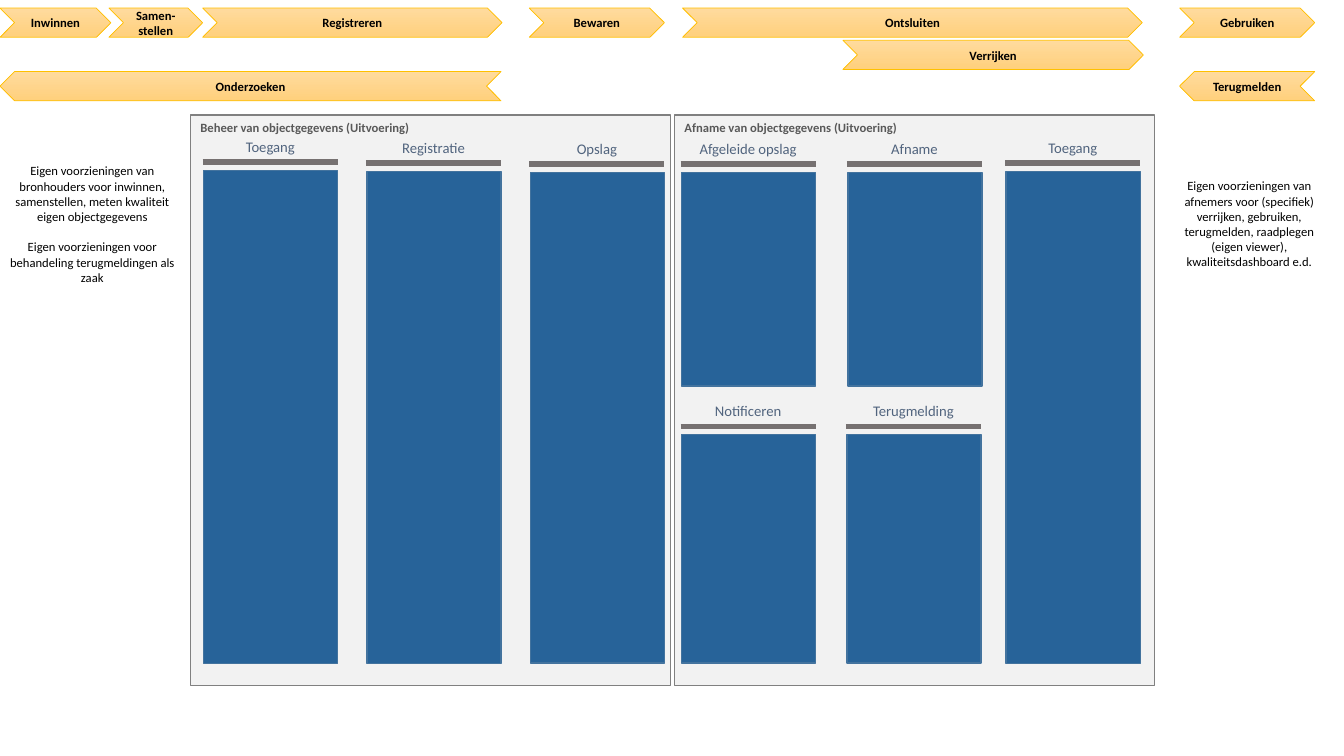
from pptx import Presentation
from pptx.dml.color import RGBColor
from pptx.enum import shapes as s, text as t
from pptx.oxml import ns, xmlchemy
from pptx.util import Inches, Pt

BLACK = RGBColor(0x00, 0x00, 0x00)
PANEL_FILL = RGBColor(0xF2, 0xF2, 0xF2)
PANEL_LINE = RGBColor(0x80, 0x80, 0x80)
PANEL_TEXT = RGBColor(0x59, 0x59, 0x59)
ARROW_TOP = RGBColor(0xFF, 0xDB, 0x9E)
ARROW_BOTTOM = RGBColor(0xFF, 0xD0, 0x7C)
ARROW_LINE = RGBColor(0xFF, 0xC0, 0x00)
BAR = RGBColor(0x76, 0x71, 0x71)
HEADING = RGBColor(0x51, 0x64, 0x7E)
BLOCK_FILL = RGBColor(0x27, 0x63, 0x99)
BLOCK_LINE = RGBColor(0x43, 0x73, 0x9E)


def write(shape, *paragraphs, size=9, color=BLACK, bold=False, gap=0,
          align=t.PP_ALIGN.CENTER, anchor=t.MSO_ANCHOR.TOP, wrap=True):
    """Fill a shape with paragraphs; gap is the space between them in points."""
    frame = shape.text_frame
    frame.word_wrap = wrap
    frame.vertical_anchor = anchor
    for index, wording in enumerate(paragraphs):
        paragraph = frame.add_paragraph() if index else frame.paragraphs[0]
        paragraph.alignment = align
        paragraph.space_before = Pt(gap if index else 0)
        run = paragraph.add_run()
        run.text = wording
        run.font.name = "Calibri"
        run.font.size = Pt(size)
        run.font.bold = bold
        run.font.color.rgb = color


def add_outlined(kind, left, top, width, height, line, line_width=1):
    shape = slide.shapes.add_shape(
        kind, Inches(left), Inches(top), Inches(width), Inches(height))
    shape.shadow.inherit = False
    shape.line.color.rgb = line
    shape.line.width = Pt(line_width)
    return shape


prs = Presentation()
prs.slide_width, prs.slide_height = Inches(13.33), Inches(7.5)
slide = prs.slides.add_slide(prs.slide_layouts[6])

# Two domains
for left, domain in [(6.69, "Afname van objectgegevens (Uitvoering)"),
                     (1.89, "Beheer van objectgegevens (Uitvoering)")]:
    panel = add_outlined(s.MSO_SHAPE.RECTANGLE, left, 1.14, 4.76, 5.66, PANEL_LINE)
    panel.fill.solid()
    panel.fill.fore_color.rgb = PANEL_FILL
    write(panel, domain, color=PANEL_TEXT, bold=True, align=t.PP_ALIGN.LEFT)

# Process steps: left, top, width, points left
steps = [
    ("Inwinnen", 0, 0.08, 1.1, False),
    ("Registreren", 2.01, 0.08, 2.97, False),
    ("Bewaren", 5.25, 0.08, 1.34, False),
    ("Samen-stellen", 1.08, 0.08, 0.93, False),
    ("Ontsluiten", 6.77, 0.08, 4.56, False),
    ("Gebruiken", 11.7, 0.08, 1.34, False),
    ("Terugmelden", 11.7, 0.71, 1.34, True),
    ("Onderzoeken", 0, 0.71, 4.97, True),
    ("Verrijken", 8.36, 0.4, 2.98, False),
]
for step, left, top, width, points_left in steps:
    arrow = add_outlined(s.MSO_SHAPE.CHEVRON, left, top, width, 0.29, ARROW_LINE, 0.5)
    arrow.fill.gradient()
    arrow.fill.gradient_angle = 270
    for stop, shade in zip(arrow.fill.gradient_stops, (ARROW_TOP, ARROW_BOTTOM)):
        stop.color.rgb = shade
    if points_left:
        arrow.element.spPr.xfrm.set("flipH", "1")
    write(arrow, step, bold=True, anchor=t.MSO_ANCHOR.MIDDLE)

# Parties' own facilities
facilities = [
    (-0.02, 1.57, 1.87, 1.31, [
        "Eigen voorzieningen van bronhouders voor inwinnen, samenstellen, "
        "meten kwaliteit eigen objectgegevens",
        "Eigen voorzieningen voor behandeling terugmeldingen als zaak"]),
    (11.59, 1.72, 1.6, 1.01, [
        "Eigen voorzieningen van afnemers voor (specifiek) verrijken, gebruiken, "
        "terugmelden, raadplegen (eigen viewer), kwaliteitsdashboard e.d."]),
]
for left, top, width, height, wording in facilities:
    note = slide.shapes.add_textbox(
        Inches(left), Inches(top), Inches(width), Inches(height))
    write(note, *wording, gap=11)

# Components: left, bar height, heading width, block bottom
BAR_WIDTH = 1.34
components = [
    ("Toegang", 2.01, 1.61, 0.51, 6.58),
    ("Registratie", 3.63, 1.62, 0.64, 6.58),
    ("Opslag", 5.25, 1.63, 0.41, 6.58),
    ("Afgeleide opslag", 6.75, 1.63, 0.99, 3.83),
    ("Afname", 8.4, 1.63, 0.47, 3.83),
    ("Terugmelding", 8.39, 4.23, 0.83, 6.58),
    ("Toegang", 9.97, 1.62, 0.51, 6.58),
    ("Notificeren", 6.75, 4.23, 0.67, 6.58),
]
for component, left, bar_y, heading_width, bottom in components:
    bar = slide.shapes.add_connector(
        s.MSO_CONNECTOR.STRAIGHT, Inches(left), Inches(bar_y),
        Inches(left + BAR_WIDTH), Inches(bar_y))
    bar.line.color.rgb = BAR
    bar.line.width = Pt(4)
    bar.element.spPr.append(xmlchemy.OxmlElement("a:effectLst"))

    heading = slide.shapes.add_textbox(
        Inches(left + (BAR_WIDTH - heading_width) / 2), Inches(bar_y - 0.24),
        Inches(heading_width), Inches(0.18))
    frame = heading.text_frame
    frame.margin_left = frame.margin_right = frame.margin_top = frame.margin_bottom = 0
    write(heading, component, size=10.5, color=HEADING, wrap=False)

    top = bar_y + 0.08
    block = add_outlined(s.MSO_SHAPE.RECTANGLE, left + 0.01, top, 1.33,
                         bottom - top, BLOCK_LINE)
    block.fill.solid()
    block.fill.fore_color.rgb = BLOCK_FILL

prs.save("out.pptx")
